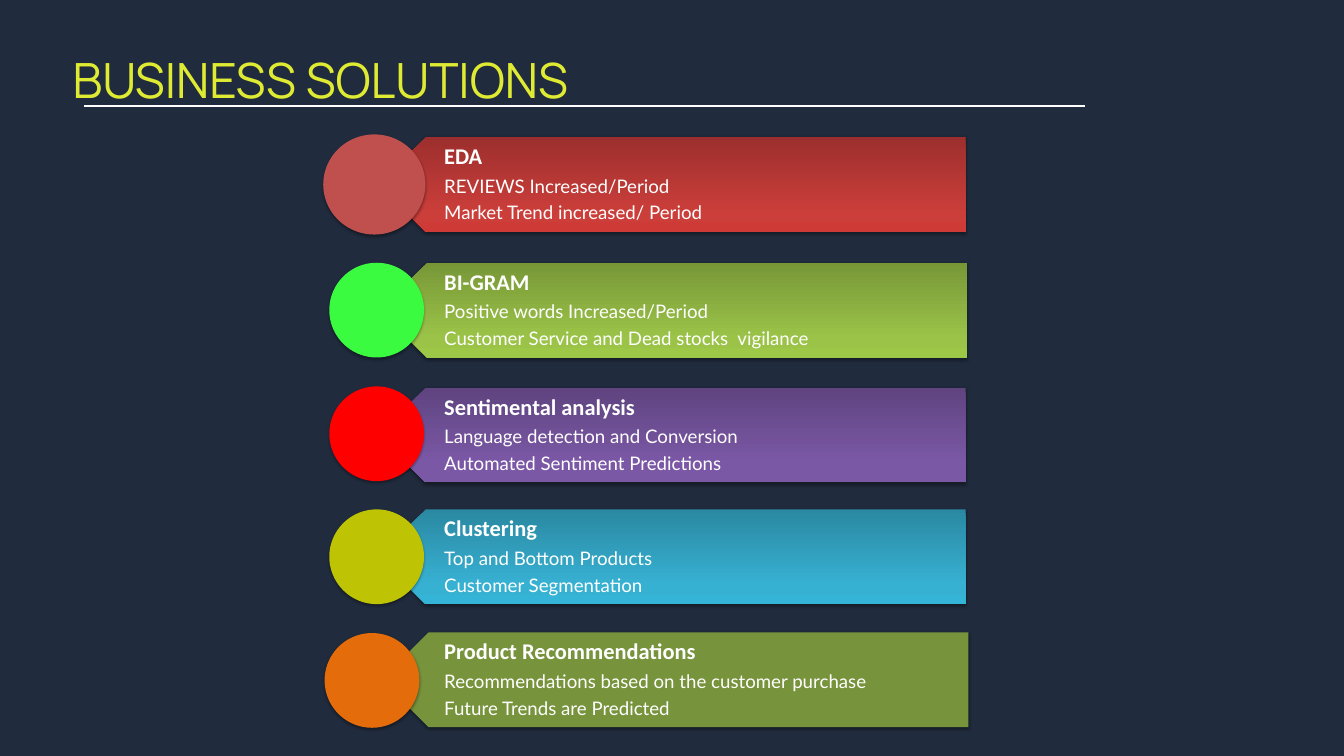
from pptx import Presentation
from pptx.dml.color import RGBColor
from pptx.enum.shapes import MSO_CONNECTOR, MSO_SHAPE
from pptx.enum.text import MSO_ANCHOR, MSO_AUTO_SIZE
from pptx.oxml import parse_xml
from pptx.oxml.ns import nsdecls, qn
from pptx.util import Inches, Pt
from lxml.etree import SubElement

HEIGHT = 1.41
ROWS = [
    ("EDA", "REVIEWS Increased/Period", "Market Trend increased/ Period",
     5.63, 2.04, ["9C2F2D", "CB3E3A", "CE3B37"], (4.81, 2, 1.52, 1.49), "C0504D"),
    ("BI-GRAM", "Positive words Increased/Period",
     "Customer Service and Dead stocks  vigilance",
     5.65, 3.91, ["779737", "9BC348", "9DC746"], (4.9, 3.91, HEIGHT, HEIGHT), "3BFB40"),
    ("Sentimental analysis", "Language detection and Conversion",
     "Automated Sentiment Predictions",
     5.63, 5.77, ["5F4480", "7B58A6", "7C57A8"], (4.9, 5.75, HEIGHT, HEIGHT), "FF0000"),
    ("Clustering", "Top and Bottom Products", "Customer Segmentation",
     5.63, 7.58, ["2A88A2", "37B1D2", "34B4D6"], (4.9, 7.58, HEIGHT, HEIGHT), "BEC303"),
    ("Product Recommendations", "Recommendations based on the customer purchase",
     "Future Trends are Predicted",
     5.67, 9.41, ["77933C"], (4.83, 9.42, HEIGHT, HEIGHT), "E46C0A"),
]


def paint(target, color):
    """Give a fill or line format a solid colour."""
    target.solid()
    target.fore_color.rgb = RGBColor.from_string(color)


def style(run, font, size, color, bold=False):
    """Set the look of a run."""
    run.font.name = font
    run.font.size = Pt(size)
    run.font.bold = bold
    run.font.color.rgb = RGBColor.from_string(color)


def shade(shape, colors):
    """Fill a shape with a vertical three-stop gradient."""
    stops = "".join(
        f'<a:gs pos="{pos}"><a:srgbClr val="{color}"/></a:gs>'
        for pos, color in zip((0, 80000, 100000), colors))
    grad = parse_xml(
        f'<a:gradFill {nsdecls("a")} rotWithShape="1"><a:gsLst>{stops}</a:gsLst>'
        '<a:lin ang="16200000" scaled="0"/></a:gradFill>')
    fill = shape.element.spPr.find(qn("a:solidFill"))
    fill.getparent().replace(fill, grad)


def add_form(slide, kind, box, colors):
    """Add a filled shape with a soft shadow below it."""
    shape = slide.shapes.add_shape(kind, *map(Inches, box))
    paint(shape.fill, colors[0])
    if len(colors) > 1:
        shade(shape, colors)
    shape.line.fill.background()
    shape.shadow.inherit = False
    shape.element.spPr.find(qn("a:effectLst")).append(parse_xml(
        f'<a:outerShdw {nsdecls("a")} blurRad="40000" dist="23000" dir="5400000" '
        'rotWithShape="0"><a:srgbClr val="000000"><a:alpha val="35000"/>'
        '</a:srgbClr></a:outerShdw>'))
    return shape


def add_text(slide, box, lines, insets):
    """Add a wrapping text box and return its frame."""
    frame = slide.shapes.add_textbox(*map(Inches, box)).text_frame
    frame.text = "\n".join(lines)
    frame.word_wrap = True
    (frame.margin_left, frame.margin_top,
     frame.margin_right, frame.margin_bottom) = map(Inches, insets)
    return frame


def add_row(slide, head, first, second, left, top, colors, disc, tint):
    """Add one banner with its text and disc."""
    bar = add_form(slide, MSO_SHAPE.PENTAGON, (left, top, 8.74, HEIGHT), colors)
    bar.rotation = 180
    frame = add_text(slide, (5.99, top, 8.38, HEIGHT), (head, first, second),
                     (0.62, 0.1, 0.19, 0.1))
    frame.vertical_anchor = MSO_ANCHOR.MIDDLE
    for num, para in enumerate(frame.paragraphs):
        font, size = ("Lato", 20) if num else ("Calibri", 24)
        para.line_spacing = 0.9
        para.space_after = Pt(size * 0.35)
        style(para.runs[0], font, size, "FFFFFF", num == 0)
    add_form(slide, MSO_SHAPE.OVAL, disc, [tint])


def add_title(slide, text):
    """Add the heading and the rule below it."""
    frame = add_text(slide, (1.08, 0.6, 18.31, 0.94), [text], (0, 0, 0, 0))
    frame.auto_size = MSO_AUTO_SIZE.SHAPE_TO_FIT_TEXT
    para = frame.paragraphs[0]
    para.line_spacing = Pt(72.8)
    style(para.runs[0], "Manrope", 52, "DFEB33")
    rule = slide.shapes.add_connector(
        MSO_CONNECTOR.STRAIGHT, *map(Inches, (1.25, 1.58, 16.14, 1.58)))
    paint(rule.line.fill, "FFFFFF")
    rule.line.width = Pt(1.5)
    SubElement(rule.element.spPr, qn("a:effectLst"))


def main():
    """Build and save the slide."""
    deck = Presentation()
    deck.slide_width, deck.slide_height = Inches(20), Inches(11.25)
    slide = deck.slides.add_slide(deck.slide_layouts[6])
    paint(slide.background.fill, "202B3D")
    for row in ROWS:
        add_row(slide, *row)
    add_title(slide, "BUSINESS SOLUTIONS")
    deck.save("out.pptx")


if __name__ == "__main__":
    main()
